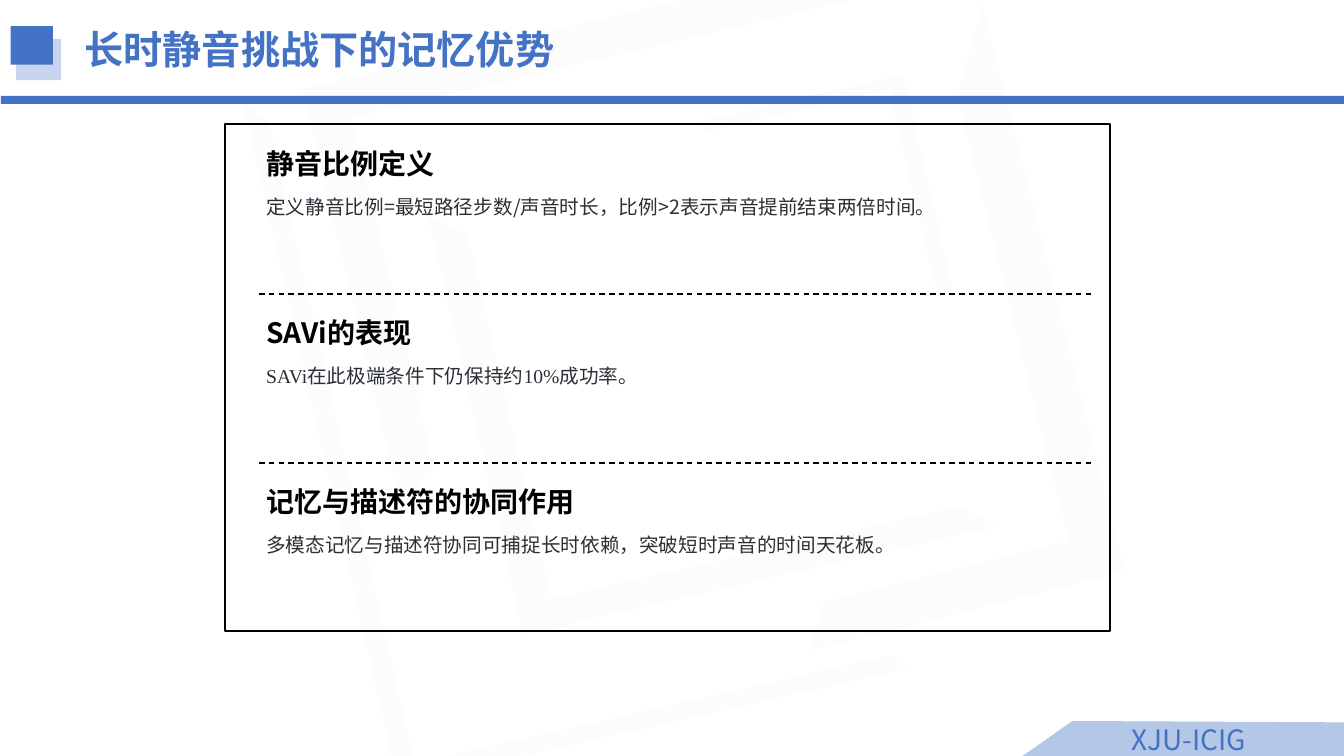
from lxml.etree import SubElement
from pptx import Presentation
from pptx.dml.color import RGBColor
from pptx.enum.dml import MSO_LINE
from pptx.enum.shapes import MSO_CONNECTOR, MSO_SHAPE
from pptx.enum.text import MSO_ANCHOR, MSO_AUTO_SIZE, PP_ALIGN
from pptx.oxml.ns import qn
from pptx.util import Pt

BLUE = RGBColor(0x44, 0x72, 0xC4)
PALE_BLUE = RGBColor(0xC7, 0xD4, 0xED)
FOOTER_BLUE = RGBColor(0xB4, 0xC7, 0xE7)
GRAY = RGBColor(0xA6, 0xA6, 0xA6)
BLACK = RGBColor(0, 0, 0)
BODY_GRAY = RGBColor(0x2B, 0x2F, 0x36)
SANS, SERIF, LATO = "Noto Sans CJK SC", "Times New Roman", "Lato"

WIDTH, HEIGHT = 960, 540

# Left, top, width, height, rotation, flipped, adjustments
HALF_FRAMES = [
    (354.96, 91.44, 307.44, 346.32, 257.2, False, (0.08, 0.065)),
    (159.84, 88.56, 501.12, 372.24, 257.2, False, (0.039, 0.032)),
    (507.6, 73.44, 162.72, 152.64, 77, False, (0.077, 0.052)),
    (244.08, 1.44, 509.76, 303.12, 346.8, False, (0.091, 0.097)),
    (431.28, 118.08, 417.6, 231.84, 75.9, True, (0.144, 0.134)),
]

# Heading and the (text, font) runs of its explanation
SECTIONS = [
    ("静音比例定义",
     [("定义静音比例=最短路径步数/声音时长，比例>2表示声音提前结束两倍时间。", SANS)]),
    ("SAVi的表现",
     [("SAVi在此极端条件下仍保持约10%成功率。", SERIF)]),
    ("记忆与描述符的协同作用",
     [("多模态记忆与描述符协同可捕捉长时依赖，突破短时声音的时间天花板", SANS),
      ("。", LATO)]),
]


def add_run(paragraph, text, size, color, font=SANS, bold=False):
    run = paragraph.add_run()
    run.text = text
    run.font.size = Pt(size)
    run.font.bold = bold
    run.font.color.rgb = color
    run.font.name = font
    east_asian = SubElement(run.font._element, qn("a:ea"))
    east_asian.set("typeface", SANS)


def add_text(slide, left, top, width, height, runs, size, color,
             bold=False, align=PP_ALIGN.LEFT, spacing=None):
    frame = slide.shapes.add_textbox(
        Pt(left), Pt(top), Pt(width), Pt(height)).text_frame
    frame.word_wrap = True
    frame.auto_size = MSO_AUTO_SIZE.SHAPE_TO_FIT_TEXT
    paragraph = frame.paragraphs[0]
    paragraph.alignment = align
    if spacing:
        paragraph.line_spacing = spacing
    for text, font in runs:
        add_run(paragraph, text, size, color, font, bold)


def add_block(slide, kind, left, top, width, height, fill=None):
    shape = slide.shapes.add_shape(kind, Pt(left), Pt(top), Pt(width), Pt(height))
    shape.shadow.inherit = False
    shape.line.fill.background()
    if fill is None:
        shape.fill.background()
    else:
        shape.fill.solid()
        shape.fill.fore_color.rgb = fill
    return shape


def add_background(slide):
    for left, top, width, height, rotation, flipped, adjustments in HALF_FRAMES:
        shape = add_block(slide, MSO_SHAPE.HALF_FRAME, left, top, width, height, GRAY)
        shape.rotation = rotation
        for index, value in enumerate(adjustments):
            shape.adjustments[index] = value
        properties = shape._element.spPr
        if flipped:
            properties.find(qn("a:xfrm")).set("flipH", "1")
        color = properties.find(qn("a:solidFill")).find(qn("a:srgbClr"))
        SubElement(color, qn("a:alpha")).set("val", "3000")


def add_header(slide, left, top, width, title):
    # Overlapping squares
    add_block(slide, MSO_SHAPE.RECTANGLE, left + 11.5, top + 28, 32, 29.3, PALE_BLUE)
    add_block(slide, MSO_SHAPE.RECTANGLE, left + 7.5, top + 18.7, 30.3, 27.5, BLUE)
    # Title and rule
    add_text(slide, left + 53.3, top + 14.4, 472, 41, [(title, SANS)], 28, BLUE, bold=True)
    add_block(slide, MSO_SHAPE.RECTANGLE, left + 0.7, top + 68.4, width, 5.8, BLUE)


def add_footer(slide, left, top, width, height, label):
    right, bottom = left + width, top + height
    builder = slide.shapes.build_freeform(left, bottom, scale=Pt(1))
    builder.add_line_segments([(left + 36.7, top), (right - 2.9, top + 1.4),
                               (right, bottom)], close=True)
    shape = builder.convert_to_shape()
    shape.shadow.inherit = False
    shape.fill.solid()
    shape.fill.fore_color.rgb = FOOTER_BLUE
    shape.line.fill.background()
    frame = shape.text_frame
    frame.vertical_anchor = MSO_ANCHOR.MIDDLE
    frame.margin_left = frame.margin_right = Pt(5)
    frame.margin_top = frame.margin_bottom = Pt(2.9)
    frame.paragraphs[0].alignment = PP_ALIGN.CENTER
    add_run(frame.paragraphs[0], label, 20, BLUE)


def add_divider(slide, left, right, y):
    line = slide.shapes.add_connector(
        MSO_CONNECTOR.STRAIGHT, Pt(left), Pt(y), Pt(right), Pt(y))
    line.line.color.rgb = BLACK
    line.line.width = Pt(1)
    line.line.dash_style = MSO_LINE.DASH
    SubElement(line._element.spPr, qn("a:effectLst"))


def add_panel(slide, left, top, width, height):
    frame = add_block(slide, MSO_SHAPE.RECTANGLE, left, top, width, height)
    frame.line.color.rgb = BLACK
    frame.line.width = Pt(1.5)
    pitch = height / len(SECTIONS)
    for index, (heading, runs) in enumerate(SECTIONS):
        row = top + index * pitch
        if index:
            add_divider(slide, left + 24.5, left + 620, row + 0.5)
        add_text(slide, left + 22.5, row + 12.6, 600, 31.5, [(heading, SANS)],
                 20, BLACK, bold=True, align=PP_ALIGN.JUSTIFY)
        add_text(slide, left + 22.5, row + 41.8, 600, 27.5, runs,
                 14, BODY_GRAY, align=PP_ALIGN.JUSTIFY, spacing=1.3)


def main():
    presentation = Presentation()
    presentation.slide_width = Pt(WIDTH)
    presentation.slide_height = Pt(HEIGHT)
    slide = presentation.slides.add_slide(presentation.slide_layouts[6])
    add_background(slide)
    add_header(slide, 0, 0, WIDTH, "长时静音挑战下的记忆优势")
    add_footer(slide, 729.4, 514.8, 240, 26, "XJU-ICIG")
    add_panel(slide, 160.6, 88.8, 632.3, 362)
    presentation.save("out.pptx")


if __name__ == "__main__":
    main()
